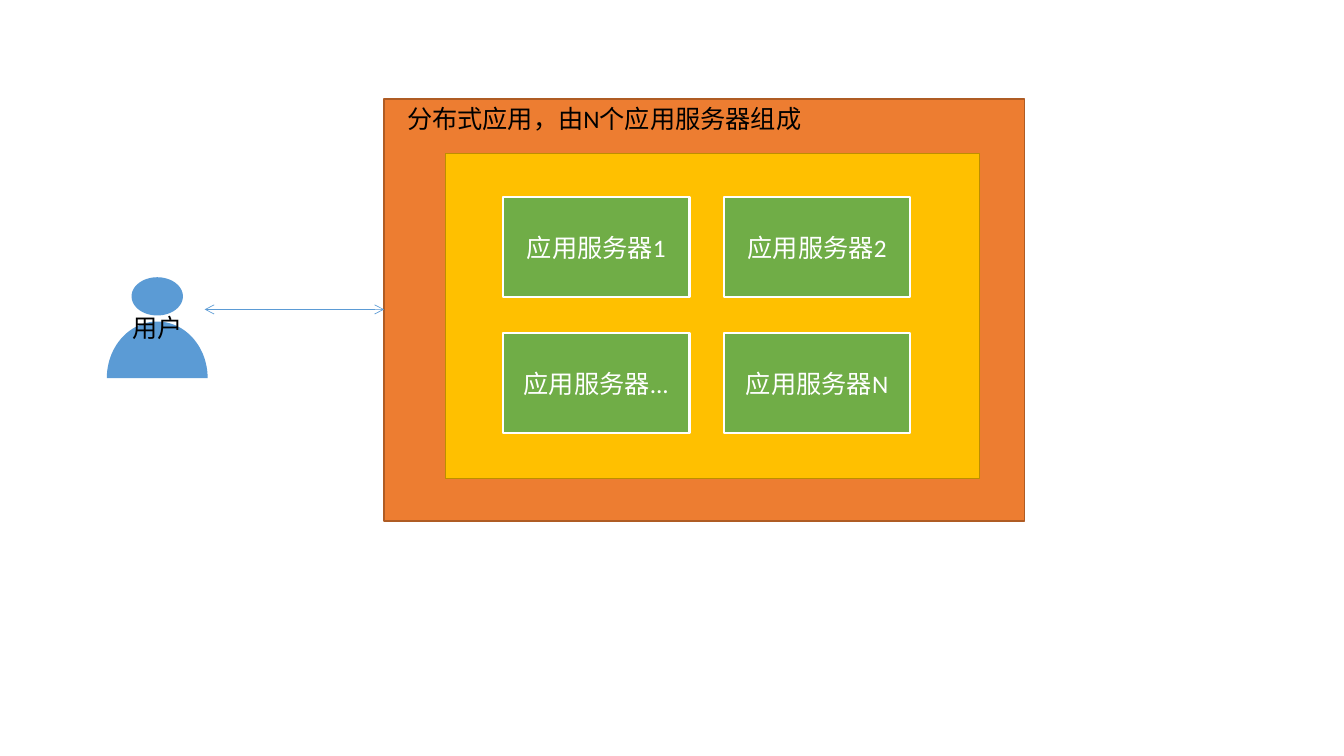
from math import cos, pi, sin

from lxml.etree import SubElement
from pptx import Presentation
from pptx.dml.color import RGBColor
from pptx.enum.shapes import MSO_CONNECTOR, MSO_SHAPE
from pptx.enum.text import MSO_ANCHOR, PP_ALIGN
from pptx.oxml.ns import qn
from pptx.util import Inches, Pt

SLIDE_WIDTH, SLIDE_HEIGHT = Inches(13.33), Inches(7.5)
BLUE = RGBColor(0x5B, 0x9B, 0xD5)
ORANGE = RGBColor(0xED, 0x7D, 0x31)
DARK_ORANGE = RGBColor(0xAF, 0x5C, 0x24)
YELLOW = RGBColor(0xFF, 0xC0, 0x00)
DARK_YELLOW = RGBColor(0xBD, 0x8E, 0x00)
GREEN = RGBColor(0x70, 0xAD, 0x47)
WHITE = RGBColor(0xFF, 0xFF, 0xFF)
BLACK = RGBColor(0x00, 0x00, 0x00)


def across(percent):
    """Turn a percentage of the slide width into a length."""
    return round(SLIDE_WIDTH * percent / 100)


def down(percent):
    """Turn a percentage of the slide height into a length."""
    return round(SLIDE_HEIGHT * percent / 100)


def box(left, top, width, height):
    """Turn a box in percentages into lengths."""
    return across(left), down(top), across(width), down(height)


def write(shape, text, color, alignment=PP_ALIGN.CENTER, anchor=MSO_ANCHOR.MIDDLE):
    """Put one formatted paragraph into a shape."""
    text_frame = shape.text_frame
    text_frame.text = text
    text_frame.word_wrap = True
    text_frame.vertical_anchor = anchor
    paragraph = text_frame.paragraphs[0]
    paragraph.alignment = alignment
    font = paragraph.runs[0].font
    font.name, font.size = "Calibri", Pt(18)
    font.color.rgb = color


def add_panel(slide, place, fill, line, line_width=1.0):
    """Add a filled, outlined rectangle."""
    shape = slide.shapes.add_shape(MSO_SHAPE.RECTANGLE, *box(*place))
    shape.shadow.inherit = False
    shape.fill.solid()
    shape.fill.fore_color.rgb = fill
    shape.line.color.rgb = line
    shape.line.width = Pt(line_width)
    return shape


def add_label(slide, place, text):
    """Add a left-aligned text box."""
    label = slide.shapes.add_textbox(*box(*place))
    write(label, text, BLACK, PP_ALIGN.LEFT, MSO_ANCHOR.TOP)


def arc(center_x, center_y, radius_x, radius_y, sweep, steps=72):
    """Return points of an elliptical arc that starts at the left."""
    angles = [pi + sweep * step / steps for step in range(steps + 1)]
    return [
        (across(center_x + radius_x * cos(angle)), down(center_y + radius_y * sin(angle)))
        for angle in angles
    ]


def add_person(slide, center_x, text):
    """Add a person made of a half-ellipse body and an oval head."""
    body = arc(center_x, 50, 3.75, 7.47, pi)
    head = arc(center_x, 39.2, 1.91, 2.53, 2 * pi)
    builder = slide.shapes.build_freeform(*body[0])
    builder.add_line_segments(body[1:])
    builder.move_to(*head[0])
    builder.add_line_segments(head[1:])
    person = builder.convert_to_shape()
    person.shadow.inherit = False
    person.fill.solid()
    person.fill.fore_color.rgb = BLUE
    person.line.fill.background()
    write(person, text, BLACK)


def add_double_arrow(slide, start_x, end_x, y):
    """Add a thin horizontal line with an open arrowhead at each end."""
    connector = slide.shapes.add_connector(
        MSO_CONNECTOR.STRAIGHT, across(start_x), down(y), across(end_x), down(y)
    )
    connector.line.color.rgb = BLUE
    connector.line.width = Pt(0.5)
    line = connector.line._get_or_add_ln()
    for end in ("a:headEnd", "a:tailEnd"):
        SubElement(line, qn(end), type="arrow")
    SubElement(connector._element.spPr, qn("a:effectLst"))


def add_servers(slide, names, columns=2):
    """Add the server boxes on a regular grid."""
    for index, name in enumerate(names):
        row, column = divmod(index, columns)
        place = (37.43 + 16.43 * column, 26 + 18 * row, 13.88, 13.33)
        write(add_panel(slide, place, GREEN, WHITE, 1.5), name, WHITE)


def main():
    """Build the slide and save it."""
    presentation = Presentation()
    presentation.slide_width, presentation.slide_height = SLIDE_WIDTH, SLIDE_HEIGHT
    slide = presentation.slides.add_slide(presentation.slide_layouts[6])
    add_person(slide, 11.7, "用户")
    add_panel(slide, (28.58, 13.07, 47.63, 55.87), ORANGE, DARK_ORANGE)
    add_label(slide, (29.55, 13.07, 30.83, 5.33), "分布式应用，由N个应用服务器组成")
    add_panel(slide, (33.15, 20.27, 39.75, 43.07), YELLOW, DARK_YELLOW)
    add_servers(slide, [f"应用服务器{suffix}" for suffix in ("1", "2", "...", "N")])
    add_double_arrow(slide, 15.23, 28.58, 40.93)
    presentation.save("out.pptx")


if __name__ == "__main__":
    main()
